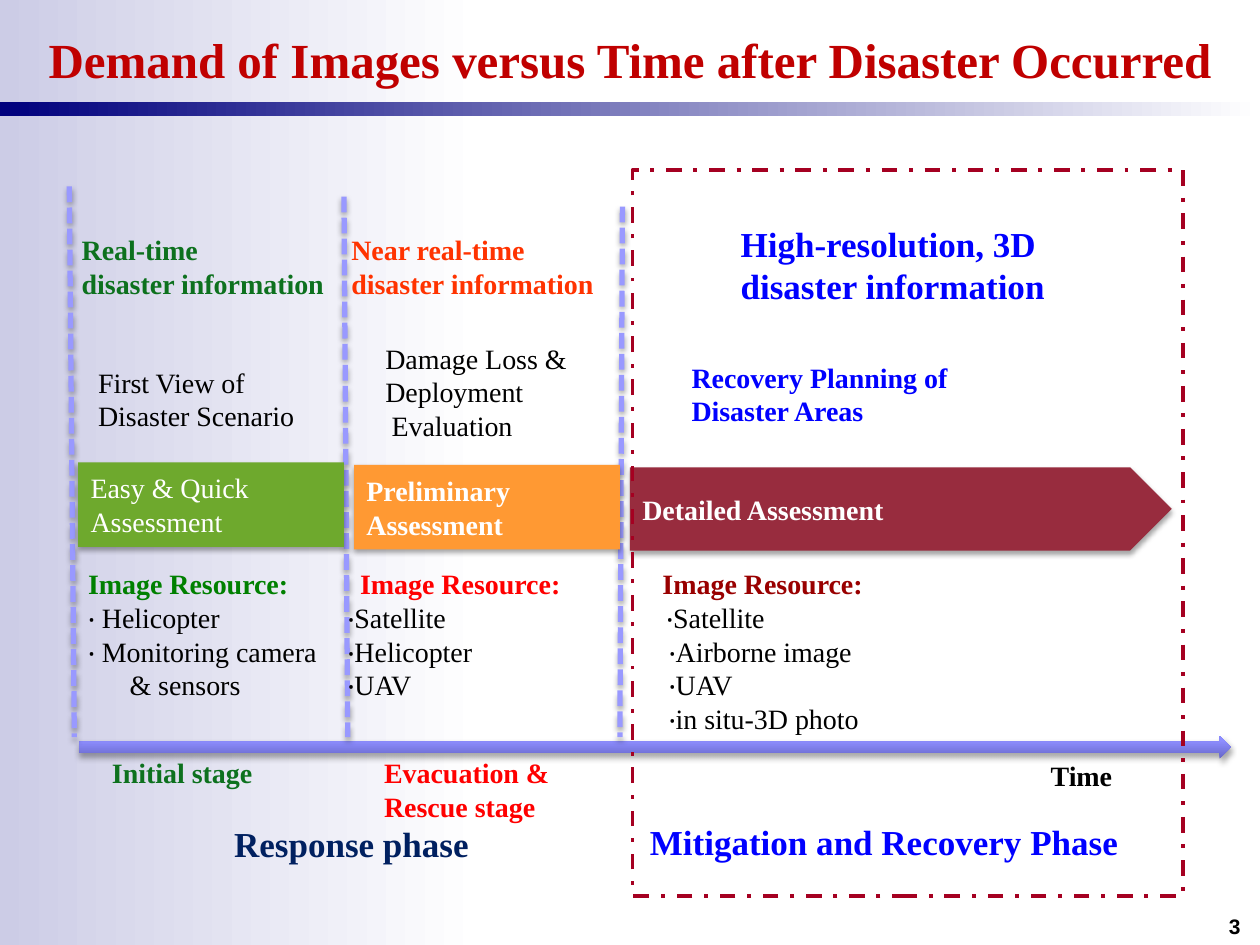
from collections import namedtuple

from lxml import etree
from pptx import Presentation, util as u
from pptx.dml.color import RGBColor
from pptx.enum import dml, shapes, text
from pptx.oxml.ns import qn

Style = namedtuple("Style", "size color bold")
Theme = namedtuple("Theme", "font number_font title heading phase body white number "
                   "green dark_green red orange maroon navy blue")
THEME = Theme(
    font="Times New Roman", number_font="Arial",
    title=Style(28, "C00000", True), heading=Style(20, "0000FF", True),
    phase=Style(20, "002060", True), body=Style(16, "000000", False),
    white=Style(16, "FFFFFF", True), number=Style(12, "000000", True),
    green=Style(16, "0D711E", True), dark_green=Style(16, "008000", True),
    red=Style(16, "FF0000", True), orange=Style(16, "FF3300", True),
    maroon=Style(16, "990000", True), navy=Style(16, "000000", True),
    blue=Style(16, "0000FF", True))
DIVIDER, FRAME = "9999FF", "A50021"

presentation = Presentation()
presentation.slide_width, presentation.slide_height = u.Inches(10), u.Inches(7.5)
CELL = presentation.slide_width / 100  # the slide is 100 columns by 75 rows


def grid(*cells):
    return [round(cell * CELL) for cell in cells]


def write(frame, lines, font=THEME.font, alignment=text.PP_ALIGN.LEFT):
    """Fill a frame with lines of (text, style, optional indent in columns)."""
    frame.word_wrap = True
    for index, (words, style, *indent) in enumerate(lines):
        paragraph = frame.add_paragraph() if index else frame.paragraphs[0]
        paragraph.text = words
        paragraph.alignment = alignment
        if indent:
            paragraph._p.get_or_add_pPr().set("marL", str(grid(*indent)[0]))
        for run in paragraph.runs:
            run.font.name, run.font.size = font, u.Pt(style.size)
            run.font.bold = style.bold
            run.font.color.rgb = RGBColor.from_string(style.color)


slide = presentation.slides.add_slide(presentation.slide_layouts[5])
title = slide.shapes.title
shadowed = []

# Background bands and the time arrow
preset = shapes.MSO_SHAPE
for kind, box, colors, angle, end in [
    (preset.RECTANGLE, (0, 0, 38.3, 75), ("CCCCE6", "FFFFFF"), 0, 1),
    (preset.RECTANGLE, (0, 8.1, 100, 1.1), ("00007D", "FFFFFF"), 0, 1),
    (preset.RIGHT_ARROW, (6.3, 58.4, 91.4, 1.8), ("6767CA", "8E8EFF"), 90, 0.8),
]:
    band = slide.shapes.add_shape(kind, *grid(*box))
    band.shadow.inherit = False
    band.line.fill.background()
    band.fill.gradient()
    band.fill.gradient_angle = angle
    for stop, color, position in zip(band.fill.gradient_stops, colors, (0, end)):
        stop.color.rgb = RGBColor.from_string(color)
        stop.position = position
    if kind == preset.RIGHT_ARROW:
        shadowed.append(band)

# The title stays in front of the bands
slide.shapes._spTree.append(title._element)
title.left, title.top, title.width, title.height = grid(0, 0, 100, 9.3)
title.text_frame.auto_size = text.MSO_AUTO_SIZE.NONE
title.text_frame.vertical_anchor = text.MSO_ANCHOR.MIDDLE
write(title.text_frame,
      [("Demand of Images versus Time after Disaster Occurred", THEME.title)],
      alignment=text.PP_ALIGN.CENTER)

# Stage dividers
for ends in [(5.5, 14.8, 5.9, 58.5), (27.3, 15.6, 27.6, 58.5), (49.4, 16.4, 49.2, 58.5)]:
    divider = slide.shapes.add_connector(shapes.MSO_CONNECTOR.STRAIGHT, *grid(*ends))
    divider.line.color.rgb = RGBColor.from_string(DIVIDER)
    divider.line.width = u.Pt(3)
    divider.line.dash_style = dml.MSO_LINE.SQUARE_DOT
    shadowed.append(divider)

# Assessment blocks
for kind, box, color, words, style in [
    (preset.PENTAGON, (50, 37.1, 43, 6.6), "982C3E", "Detailed Assessment", THEME.white),
    (preset.RECTANGLE, (6.2, 36.7, 21.1, 6.7), "6EA92D", "Easy & Quick Assessment",
     THEME.white._replace(bold=False)),
    (preset.RECTANGLE, (28.1, 36.9, 21.1, 6.7), "FF9933", "Preliminary\vAssessment",
     THEME.white),
]:
    block = slide.shapes.add_shape(kind, *grid(*box))
    block.fill.solid()
    block.fill.fore_color.rgb = RGBColor.from_string(color)
    block.line.fill.background()
    block.text_frame.vertical_anchor = text.MSO_ANCHOR.MIDDLE
    write(block.text_frame, [(words, style)])
    shadowed.append(block)

# Frame around the recovery phase
frame = slide.shapes.add_shape(preset.RECTANGLE, *grid(50.2, 13.5, 43.7, 57.6))
frame.shadow.inherit = False
frame.fill.background()
frame.line.color.rgb = RGBColor.from_string(FRAME)
frame.line.width = u.Pt(2.25)
frame.line.dash_style = dml.MSO_LINE.DASH_DOT

# Labels: information needed, purpose, image resources, stages and phases
for box, lines in [
    ((5.5, 18, 22, 6.4), [("Real-time\vdisaster information", THEME.green)]),
    ((26.9, 18, 22, 6.4), [("Near real-time\vdisaster information", THEME.orange)]),
    ((57.8, 17.2, 27, 7.7), [("High-resolution, 3D\vdisaster information", THEME.heading)]),
    ((6.8, 28.5, 19.5, 6.4), [("First View of", THEME.body),
                              ("Disaster Scenario", THEME.body)]),
    ((29.6, 26.6, 18, 9.1), [("Damage Loss &", THEME.body), ("Deployment", THEME.body),
                             ("Evaluation", THEME.body, 0.5)]),
    ((53.9, 28.1, 28.3, 6.4), [("Recovery Planning of\vDisaster Areas", THEME.blue)]),
    ((6, 44.5, 22.1, 11.8), [("Image Resource:", THEME.dark_green),
                             ("‧ Helicopter", THEME.body),
                             ("‧ Monitoring camera", THEME.body),
                             ("& sensors", THEME.body, 3.3)]),
    ((26.6, 44.5, 21.1, 12.1), [("Image Resource:", THEME.red, 1),
                                ("‧Satellite", THEME.body),
                                ("‧Helicopter", THEME.body),
                                ("‧UAV", THEME.body)]),
    ((51.6, 44.5, 20, 14.5), [("Image Resource:", THEME.maroon),
                              ("‧Satellite", THEME.body, 0.3),
                              ("‧Airborne image", THEME.body, 0.5),
                              ("‧UAV\v‧in situ-3D photo", THEME.body, 0.5)]),
    ((7.9, 59.5, 15, 3.7), [("Initial stage", THEME.green)]),
    ((29.5, 59.5, 17.5, 6.4), [("Evacuation &\vRescue stage", THEME.red)]),
    ((17.6, 64.8, 25, 4.4), [("Response phase", THEME.phase)]),
    ((50.6, 64.6, 40, 4.4), [("Mitigation and Recovery Phase", THEME.heading)]),
    ((82.4, 59.7, 12.5, 3.7), [("Time", THEME.navy)]),
]:
    label = slide.shapes.add_textbox(*grid(*box))
    write(label.text_frame, lines)

number = slide.shapes.add_textbox(*grid(96, 71, 4, 4))
number.text_frame.vertical_anchor = text.MSO_ANCHOR.BOTTOM
write(number.text_frame, [("3", THEME.number)], THEME.number_font, text.PP_ALIGN.CENTER)

# Soft shadow straight below
for shape in shadowed:
    properties = shape._element.spPr
    for effects in properties.findall(qn("a:effectLst")):
        properties.remove(effects)
    effects = etree.SubElement(properties, qn("a:effectLst"))
    shadow = etree.SubElement(effects, qn("a:outerShdw"), blurRad=str(u.Pt(3.1)),
                              dist=str(u.Pt(1.8)), dir="5400000", rotWithShape="0")
    color = etree.SubElement(shadow, qn("a:srgbClr"), val="000000")
    etree.SubElement(color, qn("a:alpha"), val="35000")

presentation.save("out.pptx")
